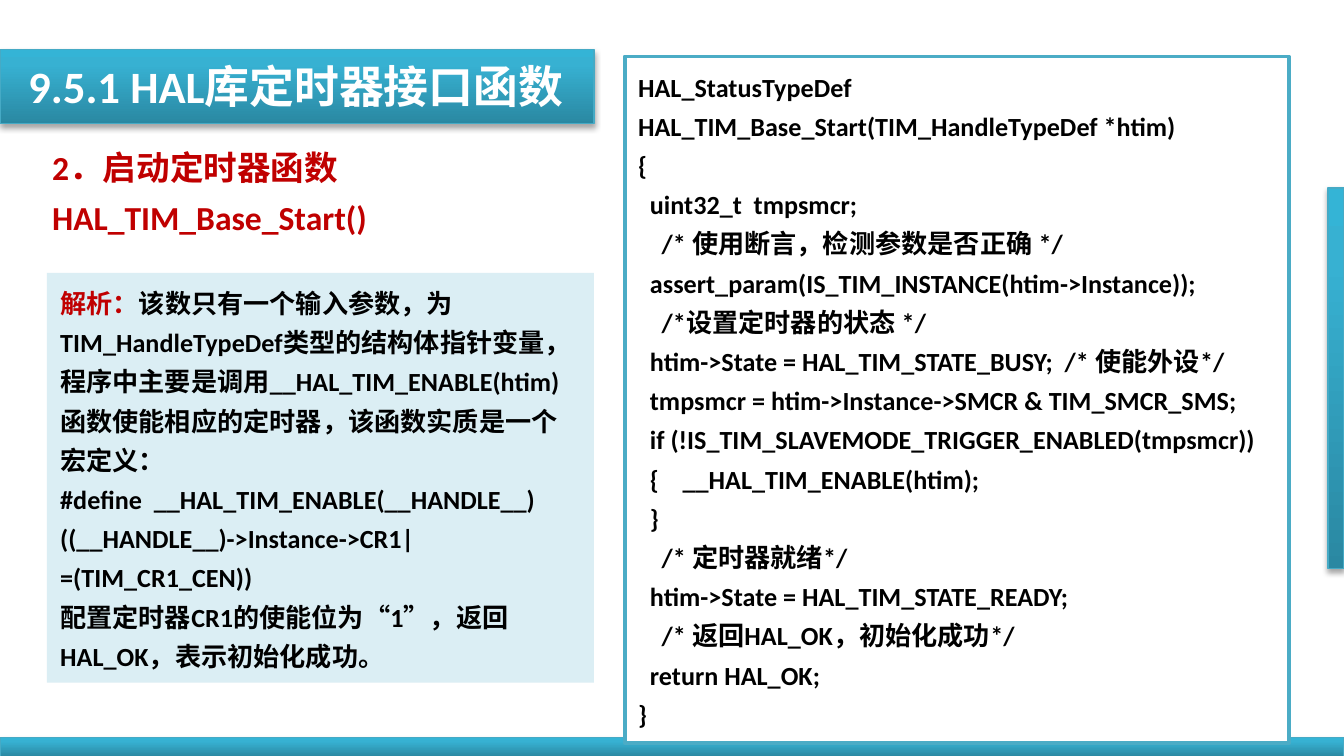
from pptx import Presentation
from pptx.dml.color import RGBColor
from pptx.enum import shapes, text
from pptx.oxml import parse_xml
from pptx.oxml.ns import nsdecls
from pptx.util import Inches, Pt

WHITE = RGBColor(0xFF, 0xFF, 0xFF)
BLACK = RGBColor(0, 0, 0)
RED = RGBColor(0xC0, 0, 0)
PALE = RGBColor(0xDB, 0xEE, 0xF4)
TEAL = RGBColor(0x4B, 0xAC, 0xC6)
EDGE = RGBColor(0x46, 0xAA, 0xC5)
STOPS = [(0, RGBColor(0x2A, 0x88, 0xA2)), (80, RGBColor(0x37, 0xB1, 0xD2)),
         (100, RGBColor(0x34, 0xB4, 0xD6))]

BANDS = [(0, 5.49, 10, 0.14), (9.88, 1.4, 0.12, 2.83), (0, 0.37, 4.42, 0.55)]

NOTES = [
    [("解析：", RED),
     ("该数只有一个输入参数，为TIM_HandleTypeDef类型的结构体指针变量，"
      "程序中主要是调用__HAL_TIM_ENABLE(htim)函数使能相应的定时器，"
      "该函数实质是一个宏定义：", BLACK)],
    [("#define  __HAL_TIM_ENABLE(__HANDLE__)   "
      "((__HANDLE__)->Instance->CR1|=(TIM_CR1_CEN))", BLACK)],
    [("配置定时器CR1的使能位为“1”，返回HAL_OK，表示初始化成功。", BLACK)],
]

CODE = """HAL_StatusTypeDef HAL_TIM_Base_Start(TIM_HandleTypeDef *htim)
{
  uint32_t  tmpsmcr;
    /* 使用断言，检测参数是否正确 */
  assert_param(IS_TIM_INSTANCE(htim->Instance));
    /*设置定时器的状态 */
  htim->State = HAL_TIM_STATE_BUSY;  /* 使能外设*/
  tmpsmcr = htim->Instance->SMCR & TIM_SMCR_SMS;
  if (!IS_TIM_SLAVEMODE_TRIGGER_ENABLED(tmpsmcr))
  {    __HAL_TIM_ENABLE(htim);
  }
    /* 定时器就绪*/
  htim->State = HAL_TIM_STATE_READY;
    /* 返回HAL_OK，初始化成功*/
  return HAL_OK;
}"""


def add_rect(box, fill=None):
    rect = slide.shapes.add_shape(shapes.MSO_SHAPE.RECTANGLE, *map(Inches, box))
    rect.shadow.inherit = False
    if fill is not None:
        rect.fill.solid()
        rect.fill.fore_color.rgb = fill
    return rect


def write(frame, paras, size, space=1.25):
    """Fill a frame with paragraphs, each a list of (words, colour) runs."""
    frame.word_wrap = True
    frame.vertical_anchor = text.MSO_ANCHOR.TOP
    for i, runs in enumerate(paras):
        para = frame.add_paragraph() if i else frame.paragraphs[0]
        para.alignment = text.PP_ALIGN.LEFT
        para.line_spacing = space
        para.font.size = Pt(size)
        para.font.name = "Calibri"
        para.font.bold = True
        for words, color in runs:
            run = para.add_run()
            run.text = words
            run.font.color.rgb = color


prs = Presentation()
prs.slide_width = Inches(10)
prs.slide_height = Inches(10) * 9 // 16
slide = prs.slides.add_slide(prs.slide_layouts[5])

# Gradient bands: foot, right edge and title
marks = "".join(f'<a:gs pos="{pos * 1000}"><a:srgbClr val="{color}"/></a:gs>'
                for pos, color in STOPS)
for box in BANDS:
    band = add_rect(box)
    band.line.color.rgb = EDGE
    band.line.width = Pt(0.75)
    props = band.element.spPr
    props.find("{*}prstGeom").addnext(parse_xml(
        f'<a:gradFill {nsdecls("a")} rotWithShape="1"><a:gsLst>{marks}</a:gsLst>'
        '<a:lin ang="16200000" scaled="0"/></a:gradFill>'))
    props.find("{*}effectLst").append(parse_xml(
        f'<a:outerShdw {nsdecls("a")} blurRad="{Pt(3.1)}" dist="{Pt(1.8)}" '
        'dir="5400000" rotWithShape="0"><a:srgbClr val="000000">'
        '<a:alpha val="35000"/></a:srgbClr></a:outerShdw>'))

# Title, brought in front of its band
title = slide.shapes.title
title.left, title.top, title.width, title.height = map(Inches, (0.11, 0.39, 4.31, 0.5))
write(title.text_frame, [[("9.5.1 HAL库定时器接口函数", WHITE)]], 24, 1)
title.text_frame.word_wrap = False
title.text_frame.auto_size = text.MSO_AUTO_SIZE.NONE
band.element.addnext(title.element)

head = slide.shapes.add_textbox(*map(Inches, (0.29, 0.97, 3.33, 0.86)))
write(head.text_frame, [[("2．启动定时器函数HAL_TIM_Base_Start()", RED)]], 18)

note = add_rect((0.35, 2.03, 4.07, 3.05), PALE)
note.line.fill.background()
write(note.text_frame, NOTES, 14)

code = add_rect((4.65, 0.42, 4.94, 5.11), WHITE)
code.line.color.rgb = TEAL
code.line.width = Pt(2)
write(code.text_frame, [[(row, BLACK)] for row in CODE.split("\n")], 14)

prs.save("out.pptx")
